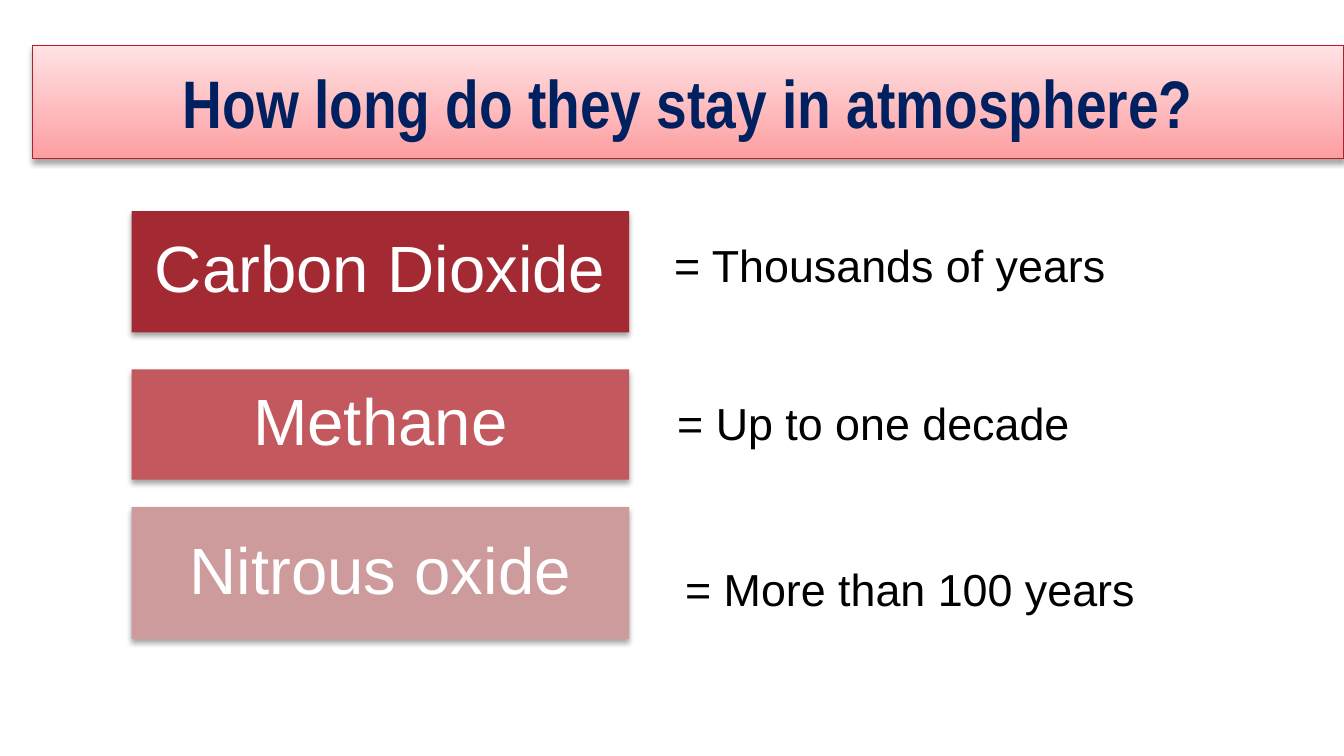
from lxml import etree
from pptx import Presentation
from pptx.dml.color import RGBColor
from pptx.enum.shapes import MSO_SHAPE
from pptx.enum.text import MSO_ANCHOR, MSO_AUTO_SIZE, PP_ALIGN
from pptx.oxml.ns import qn
from pptx.util import Cm, Pt

RECT = MSO_SHAPE.RECTANGLE
MIDDLE = MSO_ANCHOR.MIDDLE
NO_FIT = MSO_AUTO_SIZE.NONE
CENTER, LEFT = PP_ALIGN.CENTER, PP_ALIGN.LEFT

# Content
TITLE = "How long do they stay in atmosphere?"
# gas, colour, top, height, then lifetime, left, top, width, alignment (cm)
GASES = [
    ("Carbon Dioxide", "carbon", 3.99, 2.29,
     "= Thousands of years", 12.27, 4.37, 9.09, CENTER),
    ("Methane", "methane", 6.98, 2.08,
     "= Up to one decade", 12.55, 7.34, 10.36, LEFT),
    ("Nitrous oxide", "nitrous", 9.58, 2.49,
     "= More than 100 years", 12.7, 10.49, 10.2, LEFT),
]
COLORS = {
    "navy": "002060", "white": "FFFFFF", "black": "000000",
    "title_top": "FFE2E4", "title_bottom": "FD9FA2", "title_line": "B3202C",
    "carbon": "A32A33", "methane": "C3585E", "nitrous": "CE9B9D",
}
GAS_LEFT, GAS_WIDTH = 2.49, 9.4


def rgb(name):
    return RGBColor.from_string(COLORS[name])


def add_shadow(shape):
    effects = etree.SubElement(shape._element.spPr, qn("a:effectLst"))
    shadow = etree.SubElement(effects, qn("a:outerShdw"), blurRad=str(Pt(3.1)),
                              dist=str(Pt(1.8)), dir="5400000", rotWithShape="0")
    color = etree.SubElement(shadow, qn("a:srgbClr"), val=COLORS["black"])
    etree.SubElement(color, qn("a:alpha"), val="35000")


def write(shape, text, size, color, align, font="Arial", bold=False):
    tf = shape.text_frame
    tf.word_wrap = True
    tf.auto_size = NO_FIT
    tf.vertical_anchor = MIDDLE
    p = tf.paragraphs[0]
    p.alignment = align
    r = p.add_run()
    r.text = text
    r.font.name, r.font.size, r.font.bold = font, Pt(size), bold
    r.font.color.rgb = rgb(color)
    return p


prs = Presentation()
prs.slide_width, prs.slide_height = Cm(25.4), Cm(14.28)
s = prs.slides.add_slide(prs.slide_layouts[5])

# Title banner
title = s.shapes.title
title.left, title.top, title.width, title.height = Cm(0.61), Cm(0.86), Cm(24.79), Cm(2.13)
title.fill.gradient()
title.fill.gradient_angle = 270
for stop, name in zip(title.fill.gradient_stops, ("title_top", "title_bottom")):
    stop.color.rgb = rgb(name)
title.line.color.rgb = rgb("title_line")
title.line.width = Pt(0.75)
add_shadow(title)
write(title, TITLE, 36, "navy", CENTER, "Arial Narrow", True)

# One row per gas: coloured box and lifetime
for gas, color, top, height, lifetime, left, text_top, width, align in GASES:
    sp = s.shapes.add_shape(RECT, Cm(GAS_LEFT), Cm(top), Cm(GAS_WIDTH), Cm(height))
    sp.fill.solid()
    sp.fill.fore_color.rgb = rgb(color)
    sp.line.fill.background()
    add_shadow(sp)
    write(sp, gas, 35, "white", CENTER).line_spacing = 0.9

    box = s.shapes.add_textbox(Cm(left), Cm(text_top), Cm(width), Cm(1.27))
    write(box, lifetime, 24, "black", align)

prs.save("out.pptx")
